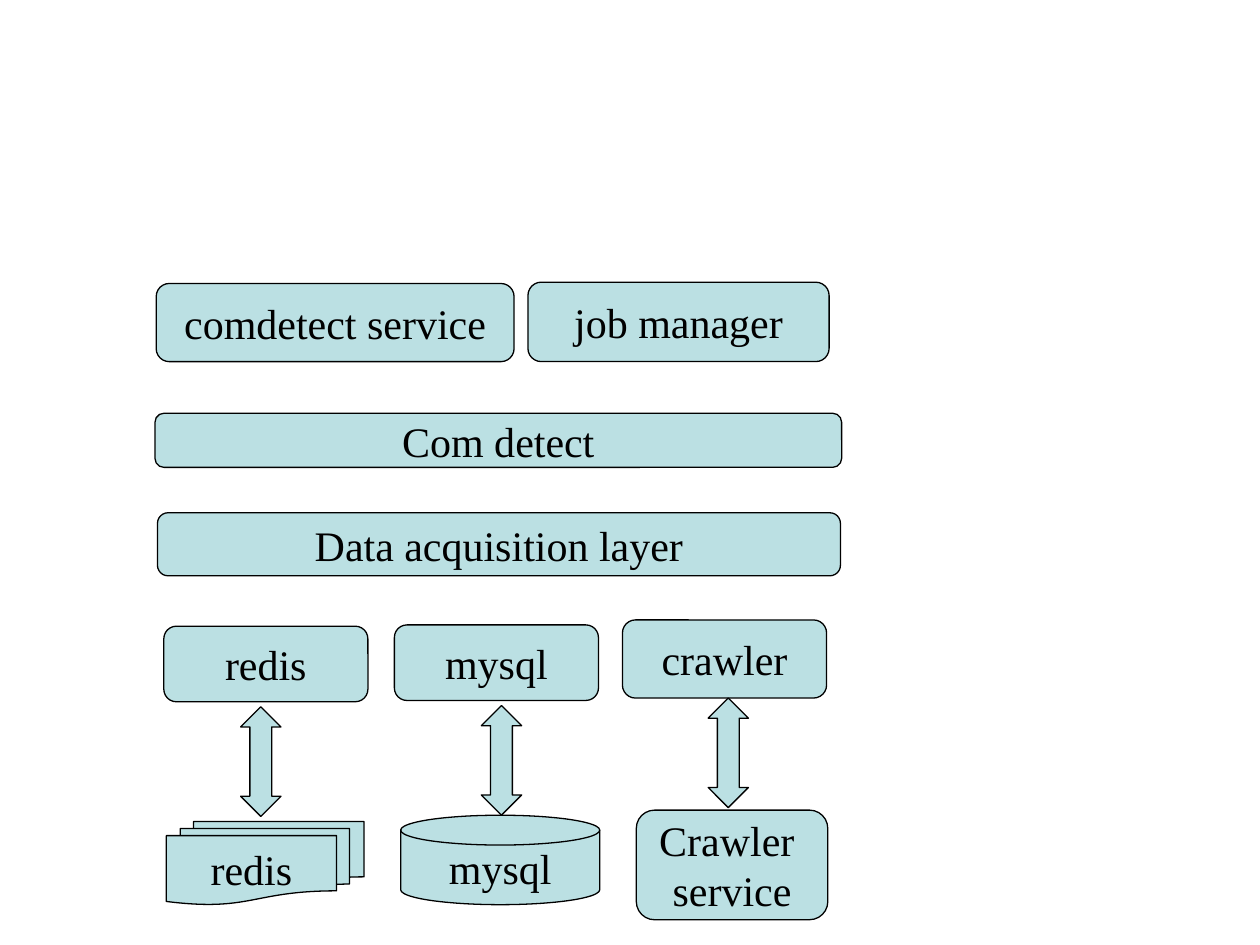
from pptx import Presentation, util as u
from pptx.dml.color import RGBColor
from pptx.enum import shapes, text

COLORS = {"fill": "BBE0E3", "ink": "000000"}
FONT = {"name": "Times New Roman", "size": u.Pt(24)}
ROUND = shapes.MSO_SHAPE.ROUNDED_RECTANGLE
DISK = shapes.MSO_SHAPE.FLOWCHART_MAGNETIC_DISK
DOCUMENTS = shapes.MSO_SHAPE.FLOWCHART_MULTIDOCUMENT
ARROW = shapes.MSO_SHAPE.UP_DOWN_ARROW

# Layers from top to bottom: (label, left, top, width, height)
LAYERS = [
    ("comdetect service", 1.24, 2.25, 2.84, 0.62),
    ("job manager", 4.19, 2.24, 2.39, 0.63),
    ("Com detect", 1.23, 3.28, 5.45, 0.43),
    ("Data acquisition layer", 1.25, 4.07, 5.42, 0.5),
]

# Access modules, all of one width: (label, left, top, height)
MODULE_WIDTH = 1.62
MODULES = [
    ("redis", 1.3, 4.97, 0.6),
    ("mysql", 3.13, 4.96, 0.6),
    ("crawler", 4.94, 4.92, 0.62),
]

# Back ends: (preset, label, left, top, width, height)
BACK_ENDS = [
    (DISK, "mysql", 3.18, 6.47, 1.58, 0.71),
    (DOCUMENTS, "redis", 1.32, 6.52, 1.57, 0.66),
    (ROUND, "Crawler \nservice", 5.05, 6.43, 1.52, 0.87),
]

# Arrows between modules and back ends, all of one size: (left, top)
ARROW_SIZE = (0.32, 0.87)
ARROWS = [(1.91, 5.61), (3.82, 5.6), (5.62, 5.54)]


def color(name):
    return RGBColor.from_string(COLORS[name])


def add_part(slide, preset, label, *box):
    shape = slide.shapes.add_shape(preset, *(u.Inches(length) for length in box))
    shape.shadow.inherit = False
    shape.fill.solid()
    shape.fill.fore_color.rgb = color("fill")
    shape.line.color.rgb = color("ink")
    shape.line.width = u.Pt(0.75)
    if label:
        frame = shape.text_frame
        frame.word_wrap = True
        frame.vertical_anchor = text.MSO_ANCHOR.MIDDLE
        frame.text = label
        for paragraph in frame.paragraphs:
            paragraph.alignment = text.PP_ALIGN.CENTER
            for run in paragraph.runs:
                run.font.color.rgb = color("ink")
                for attribute, value in FONT.items():
                    setattr(run.font, attribute, value)
    return shape


def main():
    presentation = Presentation()
    presentation.slide_width, presentation.slide_height = u.Inches(10), u.Inches(7.5)
    slide = presentation.slides.add_slide(presentation.slide_layouts[6])

    # Layers and access modules
    for label, *box in LAYERS:
        add_part(slide, ROUND, label, *box)
    for label, left, top, height in MODULES:
        add_part(slide, ROUND, label, left, top, MODULE_WIDTH, height)

    # Back ends
    for preset, label, *box in BACK_ENDS:
        add_part(slide, preset, label, *box)

    # Arrows
    for left, top in ARROWS:
        arrow = add_part(slide, ARROW, "", left, top, *ARROW_SIZE)
        arrow.adjustments[1] = 0.54

    presentation.save("out.pptx")


if __name__ == "__main__":
    main()
